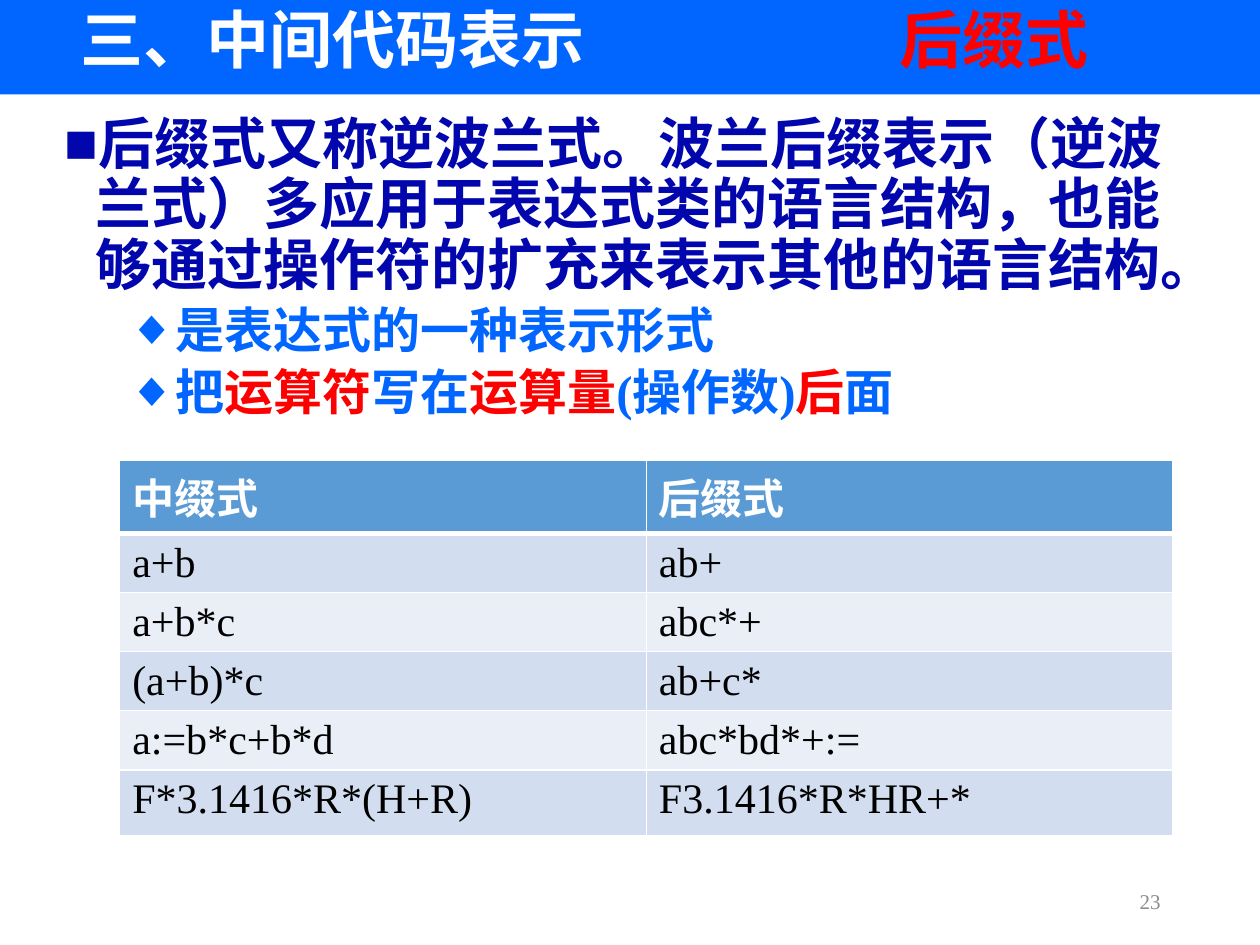
from lxml import etree
from pptx import Presentation
from pptx import util as u
from pptx.dml.color import RGBColor
from pptx.enum import shapes, text
from pptx.oxml import ns

Inches, Pt = u.Inches, u.Pt
FONT = "Times New Roman"
COLORS = {
    "band": "0066FF", "navy": "0206AD", "red": "FF0000", "white": "FFFFFF",
    "black": "000000", "grey": "8C8C8C",
    "header": "5B9BD5", "odd": "D2DEEF", "even": "EAEFF7",
}
ROWS = [
    ("中缀式", "后缀式"),
    ("a+b", "ab+"),
    ("a+b*c", "abc*+"),
    ("(a+b)*c", "ab+c*"),
    ("a:=b*c+b*d", "abc*bd*+:="),
    ("F*3.1416*R*(H+R)", "F3.1416*R*HR+*"),
]
# level, bullet, size, space before, spans
POINTS = [
    (0, "■", 32, 0, [("后缀式又称逆波兰式。波兰后缀表示（逆波兰式）多应用于表达式类的语言结构，"
                      "也能够通过操作符的扩充来表示其他的语言结构。", "navy")]),
    (1, "◆", 28, 5, [("是表达式的一种表示形式", "band")]),
    (1, "◆", 28, 5, [("把", "band"), ("运算符", "red"), ("写在", "band"), ("运算量", "red"),
                     ("(操作数)", "band"), ("后", "red"), ("面", "band")]),
]


def color(name):
    return RGBColor.from_string(COLORS[name])


def style(span, size, tint, bold):
    span.font.name = FONT
    span.font.size = Pt(size)
    span.font.bold = bold
    span.font.color.rgb = color(tint)


def add_spans(para, spans, size):
    for words, tint in spans:
        span = para.add_run()
        span.text = words
        style(span, size, tint, True)


def place(shape, box):
    shape.left, shape.top, shape.width, shape.height = map(Inches, box)


def add_band(page, box):
    band = page.shapes.add_shape(shapes.MSO_SHAPE.RECTANGLE, *map(Inches, box))
    band.shadow.inherit = False
    band.fill.solid()
    band.fill.fore_color.rgb = color("band")
    band.line.fill.background()
    # Behind the placeholders
    page.shapes._spTree.insert(2, band._element)


def fill_title(page, box):
    title = page.shapes.title
    place(title, box)
    frame = title.text_frame
    frame.auto_size = text.MSO_AUTO_SIZE.NONE
    frame.vertical_anchor = text.MSO_ANCHOR.MIDDLE
    para = frame.paragraphs[0]
    props = para._p.get_or_add_pPr()
    stops = etree.SubElement(props, ns.qn("a:tabLst"))
    etree.SubElement(stops, ns.qn("a:tab"), pos=str(Inches(6.5)), algn="l")
    para.alignment = text.PP_ALIGN.LEFT
    para.line_spacing = 0.9
    add_spans(para, [("三、中间代码表示\t", "white"), ("后缀式", "red")], 36)


def fill_body(page, box):
    body = page.placeholders[1]
    place(body, box)
    frame = body.text_frame
    frame.auto_size = text.MSO_AUTO_SIZE.NONE
    for index, (level, bullet, size, before, spans) in enumerate(POINTS):
        para = frame.add_paragraph() if index else frame.paragraphs[0]
        props = para._p.get_or_add_pPr()
        props.set("marL", str(Inches(0.25 + 0.5 * level)))
        props.set("indent", str(Inches(-0.25)))
        etree.SubElement(props, ns.qn("a:buChar"), char=bullet)
        para.level = level
        para.line_spacing = 0.9
        para.space_before = Pt(before)
        add_spans(para, spans, size)


def set_borders(cell, widths):
    props = cell._tc.get_or_add_tcPr()
    for side, width in zip("LRTB", widths):
        line = etree.SubElement(props, ns.qn("a:ln" + side), w=str(Pt(width)))
        fill = etree.SubElement(line, ns.qn("a:solidFill"))
        etree.SubElement(fill, ns.qn("a:srgbClr"), val=COLORS["white"])


def add_comparison(page, box):
    table = page.shapes.add_table(len(ROWS), 2, *map(Inches, box)).table
    for index, words in enumerate(ROWS):
        header = index == 0
        table.rows[index].height = Inches(0.52 if index == len(ROWS) - 1 else 0.4)
        fill = "header" if header else ("even", "odd")[index % 2]
        for cell, word in zip(table.rows[index].cells, words):
            set_borders(cell, (1, 1, 3 if index == 1 else 1, 3 if header else 1))
            cell.fill.solid()
            cell.fill.fore_color.rgb = color(fill)
            cell.text_frame.text = word
            style(cell.text_frame.paragraphs[0].runs[0], 24,
                  "white" if header else "black", header)


def add_page_number(page, box):
    frame = page.shapes.add_textbox(*map(Inches, box)).text_frame
    frame.word_wrap = True
    frame.vertical_anchor = text.MSO_ANCHOR.MIDDLE
    frame.text = "23"
    para = frame.paragraphs[0]
    para.alignment = text.PP_ALIGN.RIGHT
    style(para.runs[0], 12, "grey", False)


def main():
    deck = Presentation()
    deck.slide_width, deck.slide_height = Inches(10), Inches(7.5)
    page = deck.slides.add_slide(deck.slide_layouts[1])
    # Heading
    add_band(page, (0, -0.07, 10, 0.82))
    fill_title(page, (0.54, 0.08, 8.62, 0.52))
    # Content
    fill_body(page, (0.41, 0.87, 9.14, 6.08))
    add_comparison(page, (0.95, 3.65, 8.36, 2.52))
    # Footer
    add_page_number(page, (7.06, 6.95, 2.25, 0.4))
    deck.save("out.pptx")


if __name__ == "__main__":
    main()
